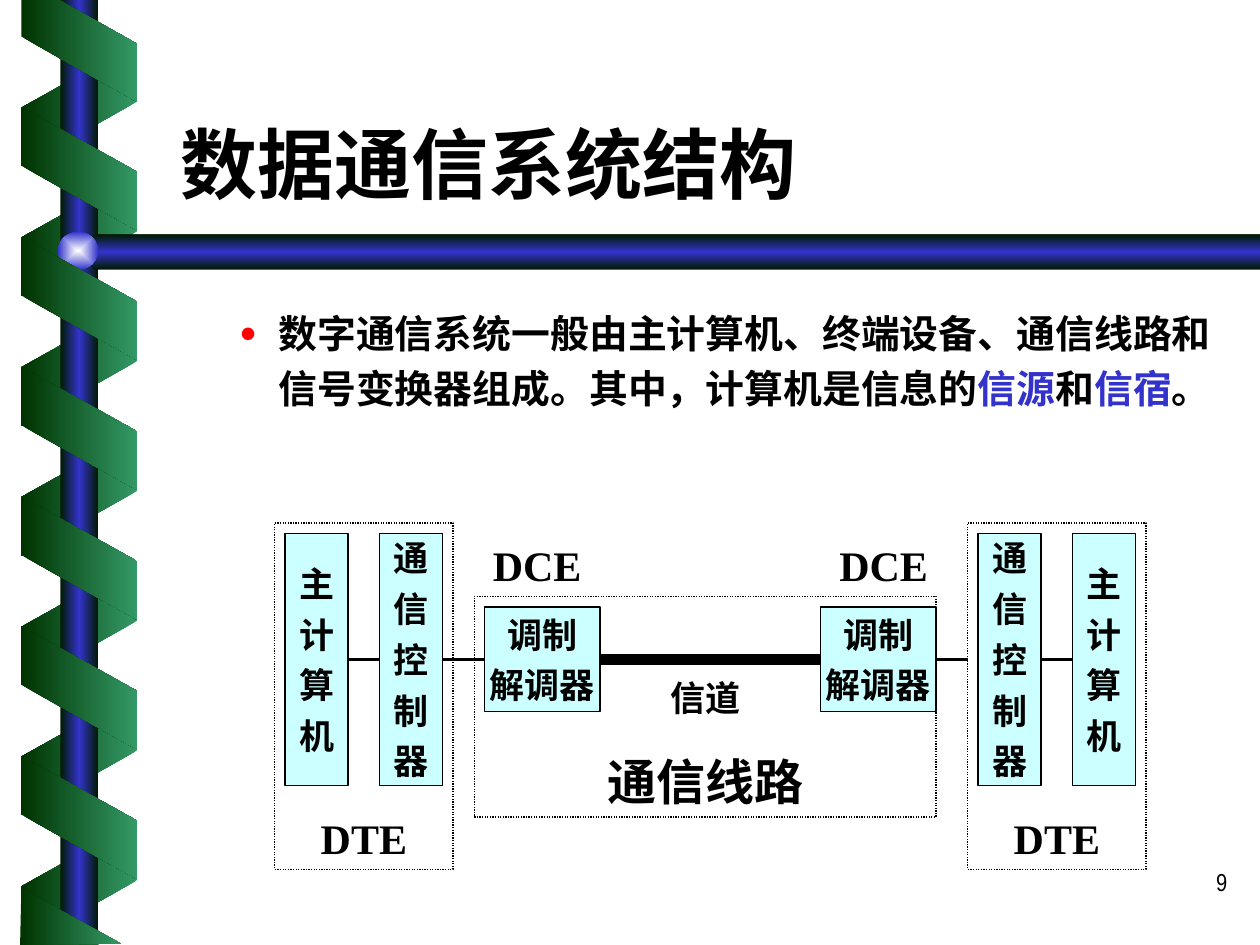
from dataclasses import dataclass

from lxml import etree
from pptx import Presentation
from pptx.dml.color import RGBColor
from pptx.enum.dml import MSO_LINE
from pptx.enum.shapes import MSO_CONNECTOR, MSO_SHAPE
from pptx.enum.text import MSO_ANCHOR, MSO_AUTO_SIZE, PP_ALIGN
from pptx.oxml import parse_xml
from pptx.oxml.ns import qn
from pptx.util import Inches, Pt

RECTANGLE, ELLIPSE = MSO_SHAPE.RECTANGLE, MSO_SHAPE.OVAL
PARALLELOGRAM = MSO_SHAPE.PARALLELOGRAM
STRAIGHT, DOTTED = MSO_CONNECTOR.STRAIGHT, MSO_LINE.ROUND_DOT
TOP, MIDDLE, BOTTOM = MSO_ANCHOR.TOP, MSO_ANCHOR.MIDDLE, MSO_ANCHOR.BOTTOM
LEFT, CENTER, RIGHT = PP_ALIGN.LEFT, PP_ALIGN.CENTER, PP_ALIGN.RIGHT
NO_AUTOFIT = MSO_AUTO_SIZE.NONE

BLACK = RGBColor(0x00, 0x00, 0x00)
RED = RGBColor(0xFF, 0x00, 0x00)
BLUE = RGBColor(0x33, 0x33, 0xCC)
CYAN = RGBColor(0xCC, 0xFF, 0xFF)
SHINE = RGBColor(0xFE, 0xFF, 0xFF)
NIGHT = RGBColor(0x00, 0x1A, 0x00)
DARK_GREEN = RGBColor(0x00, 0x33, 0x00)
LIGHT_GREEN = RGBColor(0x33, 0x99, 0x66)
SERIF, NARROW = "Times New Roman", "Arial Narrow"
DRAWING_NS = "http://schemas.openxmlformats.org/drawingml/2006/main"
SIDE_LEFT, SIDE_RIGHT = 1, 3


@dataclass(frozen=True)
class Grid:
    left: float
    top: float
    unit: float

    def point(self, column, row):
        return (Inches(self.left + column * self.unit),
                Inches(self.top + row * self.unit))

    def area(self, column, row, width, height):
        return (*self.point(column, row),
                Inches(width * self.unit), Inches(height * self.unit))


@dataclass(frozen=True)
class Block:
    """A labelled rectangle in the left half of the diagram."""
    lines: tuple
    column: int
    row: int
    width: int
    height: int


PAGE = Grid(0, 0, 1)  # 10 columns by 7.5 rows
DIAGRAM = Grid(2.18, 4.15, 1 / 12)
DIAGRAM_COLUMNS, WIRE_ROW = 83, 13
COMPUTER = Block(tuple("主计算机"), 1, 1, 6, 24)
CONTROLLER = Block(tuple("通信控制器"), 10, 1, 6, 24)
MODEM = Block(("调制", "解调器"), 20, 8, 11, 10)
TERMINAL = Block(("DTE",), 0, 0, 17, 33)
LINE_FRAME = Block(("通信线路",), 19, 7, 44, 21)
DCE_LABEL = Block(("DCE",), 19, 1, 12, 6)
CHANNEL_LABEL = Block(("信道",), 32, 14, 18, 5)


def mirror(block: Block) -> Block:
    column = DIAGRAM_COLUMNS - block.column - block.width
    return Block(block.lines, column, block.row, block.width, block.height)


def fill_gradient(shape, colors: list, angle=0, from_center=False) -> None:
    last = len(colors) - 1
    stops = "".join(
        f'<a:gs pos="{100000 * i // last}"><a:srgbClr val="{color}"/></a:gs>'
        for i, color in enumerate(colors))
    course = f'<a:lin ang="{angle * 60000}" scaled="1"/>'
    if from_center:
        course = ('<a:path path="rect"><a:fillToRect l="50000" t="50000" '
                  'r="50000" b="50000"/></a:path>')
    shape.fill.background()
    empty_fill = shape._element.spPr.find(qn("a:noFill"))
    empty_fill.getparent().replace(empty_fill, parse_xml(
        f'<a:gradFill xmlns:a="{DRAWING_NS}" rotWithShape="0">'
        f'<a:gsLst>{stops}</a:gsLst>{course}</a:gradFill>'))
    shape.line.fill.background()
    shape.shadow.inherit = False


def add_strands(page, first_top, count, colors, rotation, flipped) -> None:
    for i in range(count):
        strand = page.shapes.add_shape(
            PARALLELOGRAM, *PAGE.area(0.14, first_top + 1.03 * i, 0.98, 0.92))
        strand.adjustments[0] = 0.56
        strand.rotation = rotation
        if flipped:
            strand._element.spPr.xfrm.set("flipH", "1")
        fill_gradient(strand, colors)


def add_outline(page, points: list, colors: list, angle=0) -> None:
    start, *rest = [PAGE.point(*point) for point in points]
    builder = page.shapes.build_freeform(*start)
    builder.add_line_segments(rest, close=True)
    fill_gradient(builder.convert_to_shape(), colors, angle)


def write_lines(shape, lines, size, anchor, align=CENTER, name=SERIF,
                bold=True, wrap=False) -> None:
    frame = shape.text_frame
    frame.auto_size = NO_AUTOFIT
    frame.word_wrap, frame.vertical_anchor = wrap, anchor
    for i, line in enumerate(lines):
        para = frame.add_paragraph() if i else frame.paragraphs[0]
        para.text, para.alignment = line, align
        para.space_before = Pt(5 if i else 0)
        font = para.font
        font.size, font.name, font.bold = Pt(size), name, bold
        font.color.rgb = BLACK


def add_block(page, block: Block, size=20, dotted=False):
    box = page.shapes.add_shape(RECTANGLE, *DIAGRAM.area(
        block.column, block.row, block.width, block.height))
    box.shadow.inherit = False
    box.line.color.rgb, box.line.width = BLACK, Pt(0.75)
    if dotted:
        box.fill.background()
        box.line.dash_style = DOTTED
    else:
        box.fill.solid()
        box.fill.fore_color.rgb = CYAN
    write_lines(box, block.lines, size, BOTTOM if dotted else MIDDLE)
    return box


def add_label(page, block: Block, size: int) -> None:
    box = page.shapes.add_textbox(*DIAGRAM.area(
        block.column, block.row, block.width, block.height))
    write_lines(box, block.lines, size, TOP, wrap=True)


def add_wire(page, start, end=None, end_column=0, width=1.5) -> None:
    target = DIAGRAM.point(end_column, WIRE_ROW)
    wire = page.shapes.add_connector(STRAIGHT, *target, *target)
    wire.begin_connect(start, SIDE_RIGHT)
    if end is not None:
        wire.end_connect(end, SIDE_LEFT)
    wire.line.color.rgb, wire.line.width = BLACK, Pt(width)
    etree.SubElement(wire._element.spPr, qn("a:effectLst"))


def add_decoration(page) -> None:
    tube = [NIGHT, BLUE, NIGHT]
    ribbon = [DARK_GREEN, LIGHT_GREEN]
    add_strands(page, 0.37, 7, ribbon[::-1], 90, True)
    pole = page.shapes.add_shape(RECTANGLE, *PAGE.area(0.48, 0, 0.3, 7.5))
    fill_gradient(pole, tube)
    add_outline(page, [(10, 1.86), (0.76, 1.86), (0.6, 2), (0.76, 2.14),
                       (10, 2.14)], tube, 90)
    ball = page.shapes.add_shape(ELLIPSE, *PAGE.area(0.46, 1.84, 0.32, 0.3))
    fill_gradient(ball, [SHINE, BLUE], from_center=True)
    add_strands(page, 0.88, 6, ribbon, 270, False)
    add_outline(page, [(0.17, 0), (0.17, 0.29), (1.09, 0.81), (1.09, 0.35),
                       (0.47, 0)], ribbon)
    add_outline(page, [(0.96, 7.49), (0.17, 7.05), (0.16, 7.5)], ribbon)


def place(shape, *area) -> None:
    shape.left, shape.top, shape.width, shape.height = PAGE.area(*area)


def write_body(body) -> None:
    frame = body.text_frame
    frame.auto_size, frame.word_wrap = NO_AUTOFIT, True
    para = frame.paragraphs[0]
    para.level, para.line_spacing, para.space_before = 1, 1.2, Pt(0)
    properties = para._p.get_or_add_pPr()
    properties.set("marL", str(Inches(0.81)))
    properties.set("indent", str(Inches(-0.31)))
    color = etree.SubElement(properties, qn("a:buClr"))
    etree.SubElement(color, qn("a:srgbClr"), val=str(RED))
    etree.SubElement(properties, qn("a:buSzPct"), val="75000")
    etree.SubElement(properties, qn("a:buChar"), char="●")
    para.font.size, para.font.bold = Pt(22.2), True
    for text, name, ink in (
            ("数字通信系统一般", NARROW, BLACK),
            ("由主计算机、终端设备、通信线路和信号变换器组成。其中，计算机是信息的",
             SERIF, BLACK),
            ("信源", SERIF, BLUE), ("和", SERIF, BLACK),
            ("信宿", SERIF, BLUE), ("。", SERIF, BLACK)):
        span = para.add_run()
        span.text, span.font.name = text, name
        span.font.color.rgb = ink


def add_diagram(page) -> None:
    # Stations on both sides
    computer, controller, modem = [
        add_block(page, block) for block in (COMPUTER, CONTROLLER, MODEM)]
    far_computer, far_controller, far_modem = [
        add_block(page, mirror(block))
        for block in (COMPUTER, CONTROLLER, MODEM)]

    # Dotted frames and free labels
    far_terminal = mirror(TERMINAL)
    for terminal in (TERMINAL, far_terminal):
        add_block(page, terminal, 24, dotted=True)
    add_block(page, LINE_FRAME, 28, dotted=True)
    for label in (DCE_LABEL, mirror(DCE_LABEL)):
        add_label(page, label, 24)
    add_label(page, CHANNEL_LABEL, 20)

    # Wires and the channel
    add_wire(page, computer, controller)
    add_wire(page, controller, modem)
    add_wire(page, modem, far_modem, width=6)
    add_wire(page, far_modem, end_column=far_terminal.column)
    add_wire(page, far_controller, far_computer)


def main() -> None:
    deck = Presentation()
    deck.slide_width, deck.slide_height = Inches(10), Inches(7.5)
    page = deck.slides.add_slide(deck.slide_layouts[1])
    add_decoration(page)

    # Title, list and page number
    title, body = page.placeholders
    place(title, 1.33, 0.46, 8.5, 1.25)
    write_lines(title, ["数据通信系统结构"], 44, BOTTOM, LEFT, wrap=True)
    place(body, 1.3, 2.33, 8.5, 1.5)
    write_body(body)
    number = page.shapes.add_textbox(*PAGE.area(7.76, 6.83, 2.08, 0.5))
    write_lines(number, ["9"], 14, TOP, RIGHT, NARROW, bold=False, wrap=True)

    add_diagram(page)
    deck.save("out.pptx")


if __name__ == "__main__":
    main()
